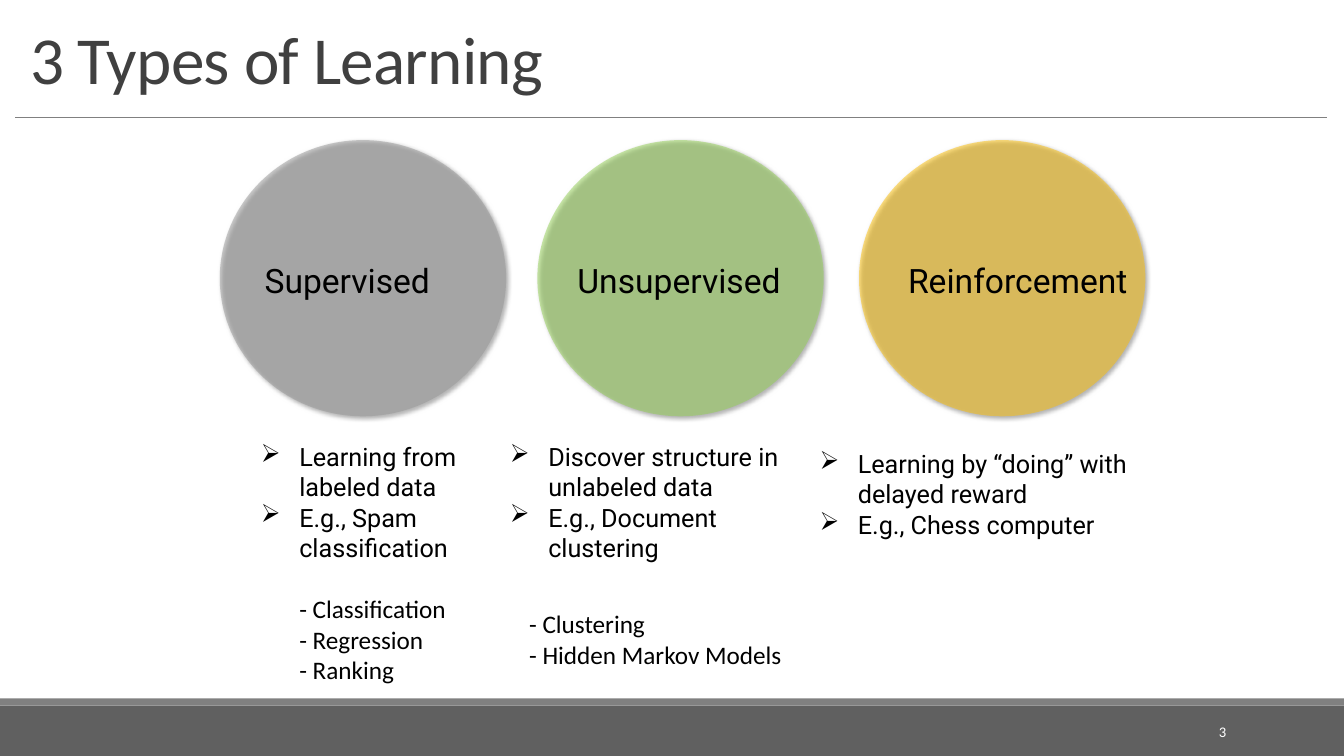
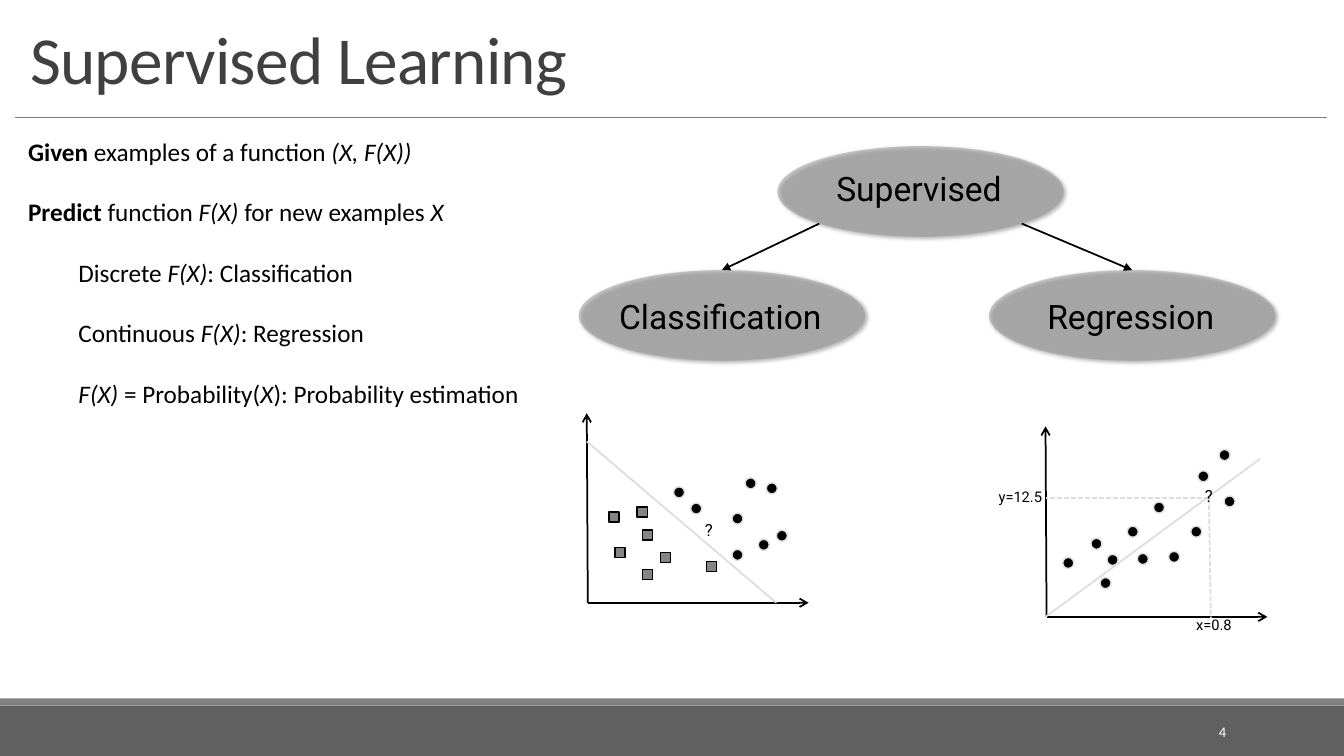
import math

import pptx
import pptx.dml.color
import pptx.enum.dml
import pptx.enum.shapes
import pptx.enum.text
import pptx.oxml
import pptx.oxml.ns
import pptx.util
from lxml import etree

Inches, Pt = pptx.util.Inches, pptx.util.Pt
SHAPE = pptx.enum.shapes.MSO_SHAPE
ALIGN = pptx.enum.text.PP_ALIGN
ANCHOR = pptx.enum.text.MSO_ANCHOR
qn = pptx.oxml.ns.qn

COLORS = {
    "band": "606060", "rule": "808080", "title": "404040",
    "text": "000000", "white": "FFFFFF", "gray": "969696",
    "green": "92D050", "gold": "FFC000", "square": "858585",
    "guide": "DDDDDD",
}
SLIDE_W, SLIDE_H = 13.33, 7.5
NODE_W, LABEL_W, LABEL_H = 2.84, 2.73, 0.5
CIRCLE_TOP, CIRCLE_H, CIRCLE_LABEL_TOP = 1.39, 2.74, 2.53
OVAL_H = 0.9
DOT, SQUARE = 0.11, 0.1

# label, color, circle left, label left, bullet box, bullets
LEARNING_TYPES = [
    ("Supervised", "gray", 2.18, 2.08, (2.49, 4.33, 2.84, 1.31),
     ["Learning from labeled data", "E.g., Spam classification"]),
    ("Unsupervised", "green", 5.33, 5.37, (4.96, 4.33, 3.27, 1.31),
     ["Discover structure in unlabeled data", "E.g., Document clustering"]),
    ("Reinforcement", "gold", 8.52, 8.73, (8.03, 4.4, 3.46, 1.01),
     ["Learning by “doing” with delayed reward", "E.g., Chess computer"]),
]
TASK_LISTS = [
    ((5.15, 5.99, 6.67, 0.71), ["- Clustering", "- Hidden Markov Models"]),
    ((2.87, 5.84, 6.67, 1.01), ["- Classification", "- Regression", "- Ranking"]),
]

# indent, then runs of (text, style), where style is "b", "i" or ""
DEFINITIONS = [
    (0, [("Given", "b"), (" examples of a function ", ""), ("(X, F(X))", "i")]),
    (0, [("Predict ", "b"), ("function", ""), (" F(X) ", "i"),
         ("for new examples", ""), (" X", "i")]),
    (0.5, [("Discrete ", ""), ("F(X)", "i"), (": Classification", "")]),
    (0.5, [("Continuous ", ""), ("F(X)", "i"), (": Regression", "")]),
    (0.5, [("F(X)", "i"), (" = Probability(", ""), ("X", "i"),
           ("): Probability estimation", "")]),
]
ROOT = ("Supervised", 7.71, 1.45, 1.62)
BRANCHES = [("Classification", 5.74, 2.68, 2.89), ("Regression", 9.81, 2.68, 2.89)]

PLOTS = [
    {
        "origin": (5.83, 5.98), "top": (5.82, 4.1),
        "dots": [(7.26, 5.45), (7.52, 5.35), (7.26, 5.09), (7.39, 4.74), (7.6, 4.79),
                 (7.7, 5.26), (6.68, 4.83), (6.85, 4.99)],
        "squares": [(6.04, 5.08), (6.1, 5.43), (6.37, 5.26), (7.01, 5.57),
                    (6.32, 5.03), (6.55, 5.48), (6.37, 5.65)],
        "trend": ((5.82, 4.38), (7.7, 5.98)), "guides": [],
        "labels": [("?", 12, (6.85, 5.11, 0.36, 0.3))],
    },
    {
        "origin": (10.38, 6.12), "top": (10.37, 4.23),
        "dots": [(10.54, 5.53), (10.82, 5.34), (10.98, 5.5), (11.18, 5.22),
                 (11.28, 5.49), (11.44, 4.98), (11.81, 5.22), (11.88, 4.67),
                 (11.59, 5.47), (12.14, 4.92), (12.09, 4.46), (10.91, 5.73)],
        "squares": [],
        "trend": ((10.37, 6.12), (12.5, 4.55)),
        "guides": [((11.99, 4.94), (12.01, 6.13)), ((11.99, 4.94), (10.37, 4.94))],
        "labels": [("x=0.8", 10.5, (11.37, 6.06, 1.34, 0.29)),
                   ("y=12.5", 10.5, (9.45, 4.79, 1.34, 0.29)),
                   ("?", 12, (11.81, 4.77, 0.36, 0.3))],
    },
]
AXIS_LENGTH = 2.19


def rgb(name):
    return pptx.dml.color.RGBColor.from_string(COLORS[name])


def add_shape(slide, kind, box, fill, line=None):
    sp = slide.shapes.add_shape(kind, *map(Inches, box))
    sp.shadow.inherit = False
    sp.fill.solid()
    sp.fill.fore_color.rgb = rgb(fill)
    if line:
        sp.line.color.rgb = rgb(line)
        sp.line.width = Pt(1)
    else:
        sp.line.fill.background()
    return sp


def add_line(slide, start, end, color="text", width=1.25, head=None, dashed=False):
    cxn = slide.shapes.add_connector(
        pptx.enum.shapes.MSO_CONNECTOR.STRAIGHT, *map(Inches, (*start, *end)))
    cxn.line.color.rgb = rgb(color)
    cxn.line.width = Pt(width)
    if dashed:
        cxn.line.dash_style = pptx.enum.dml.MSO_LINE.SQUARE_DOT
    props = cxn._element.spPr
    if head:
        etree.SubElement(props.find(qn("a:ln")), qn("a:tailEnd"), type=head)
    etree.SubElement(props, qn("a:effectLst"))


def add_text(slide, box, paragraphs, size, font="Calibri", color="text",
             align=ALIGN.LEFT, anchor=ANCHOR.TOP, bullet=None, gap=0):
    """Each paragraph is a string, or an indent with a list of styled runs."""
    tf = slide.shapes.add_textbox(*map(Inches, box)).text_frame
    tf.word_wrap = True
    tf.vertical_anchor = anchor
    for i, content in enumerate(paragraphs):
        indent, runs = (0, [(content, "")]) if isinstance(content, str) else content
        p = tf.paragraphs[0] if i == 0 else tf.add_paragraph()
        p.alignment = align
        if i and gap:
            p.space_before = Pt(gap)
        props = p._p.get_or_add_pPr()
        if bullet:
            props.set("marL", str(Inches(0.38)))
            props.set("indent", str(-Inches(0.38)))
            etree.SubElement(props, qn("a:buChar"), char=bullet)
        elif indent:
            props.set("marL", str(Inches(indent)))
        p.font.size = Pt(size)
        p.font.name = font
        p.font.color.rgb = rgb(color)
        for text, style in runs:
            r = p.add_run()
            r.text = text
            if style == "b":
                r.font.bold = True
            elif style == "i":
                r.font.italic = True
    return tf


def add_glass_oval(slide, box, color):
    """Add a translucent ellipse with a soft shadow."""
    props = add_shape(slide, SHAPE.OVAL, box, color)._element.spPr
    fill = props.find(qn("a:solidFill"))
    etree.SubElement(fill[0], qn("a:alpha"), val="49000")
    shadow = etree.SubElement(
        props.find(qn("a:effectLst")), qn("a:outerShdw"), blurRad=str(Pt(3)),
        dist=str(Pt(2)), dir=str(45 * 60000), algn="tl", rotWithShape="0")
    black = etree.SubElement(shadow, qn("a:srgbClr"), val=COLORS["text"])
    etree.SubElement(black, qn("a:alpha"), val="60000")


def add_label(slide, left, top, text):
    add_text(slide, (left, top, LABEL_W, LABEL_H), [text], 24, "Roboto",
             align=ALIGN.CENTER)


def add_base_slide(prs, title, number):
    slide = prs.slides.add_slide(prs.slide_layouts[6])
    add_shape(slide, SHAPE.RECTANGLE, (0, 7, SLIDE_W, 0.5), "band")
    add_shape(slide, SHAPE.RECTANGLE, (0, 6.93, SLIDE_W, 0.07), "rule")
    add_line(slide, (0.15, 1.16), (13.16, 1.16), "rule", 0.5)
    tf = add_text(slide, (0.2, 0.15, 12.93, 0.87), [title], 48,
                  color="title", anchor=ANCHOR.BOTTOM)
    p = tf.paragraphs[0]
    p.line_spacing = 0.85
    p.runs[0]._r.get_or_add_rPr().set("spc", "-50")
    add_text(slide, (10.83, 7.06, 1.43, 0.4), [str(number)], 10.5, color="white",
             align=ALIGN.RIGHT, anchor=ANCHOR.MIDDLE)
    return slide


def add_node(slide, text, left, top, label_top):
    add_glass_oval(slide, (left, top, NODE_W, OVAL_H), "gray")
    add_label(slide, left + 0.04, label_top, text)


def add_plot(slide, plot):
    x, y = plot["origin"]
    for end in (plot["top"], (x + AXIS_LENGTH, y)):
        add_line(slide, (x, y), end, head="arrow")
    for dot in plot["dots"]:
        add_shape(slide, SHAPE.OVAL, (*dot, DOT, DOT), "text", "guide")
    for square in plot["squares"]:
        add_shape(slide, SHAPE.RECTANGLE, (*square, SQUARE, SQUARE), "square", "text")
    add_line(slide, *plot["trend"], "guide")
    for guide in plot["guides"]:
        add_line(slide, *guide, "guide", dashed=True)
    for text, size, box in plot["labels"]:
        add_text(slide, box, [text], size, "Roboto", align=ALIGN.CENTER)


def build_types(prs):
    slide = add_base_slide(prs, "3 Types of Learning", 3)
    for label, color, left, label_left, box, bullets in LEARNING_TYPES:
        add_glass_oval(slide, (left, CIRCLE_TOP, NODE_W, CIRCLE_H), color)
        add_label(slide, label_left, CIRCLE_LABEL_TOP, label)
        add_text(slide, box, bullets, 18, "Roboto", bullet="➢")
    for box, tasks in TASK_LISTS:
        add_text(slide, box, tasks, 18)


def build_supervised(prs):
    slide = add_base_slide(prs, "Supervised Learning", 4)
    add_node(slide, *ROOT)
    diagonal = math.sqrt(0.5)
    root_x, root_y = ROOT[1] + NODE_W / 2, ROOT[2] + OVAL_H / 2
    for branch in BRANCHES:
        add_node(slide, *branch)
        branch_x = branch[1] + NODE_W / 2
        side = math.copysign(diagonal, branch_x - root_x)
        start = (root_x + side * NODE_W / 2, root_y + diagonal * OVAL_H / 2)
        add_line(slide, start, (branch_x, branch[2]), head="triangle")
    for plot in PLOTS:
        add_plot(slide, plot)
    add_text(slide, (0.18, 1.3, 8.28, 2.83), DEFINITIONS, 18, gap=21.6)


def main():
    prs = pptx.Presentation()
    prs.slide_width, prs.slide_height = Inches(SLIDE_W), Inches(SLIDE_H)
    build_types(prs)
    build_supervised(prs)
    prs.save("out.pptx")


if __name__ == "__main__":
    main()
